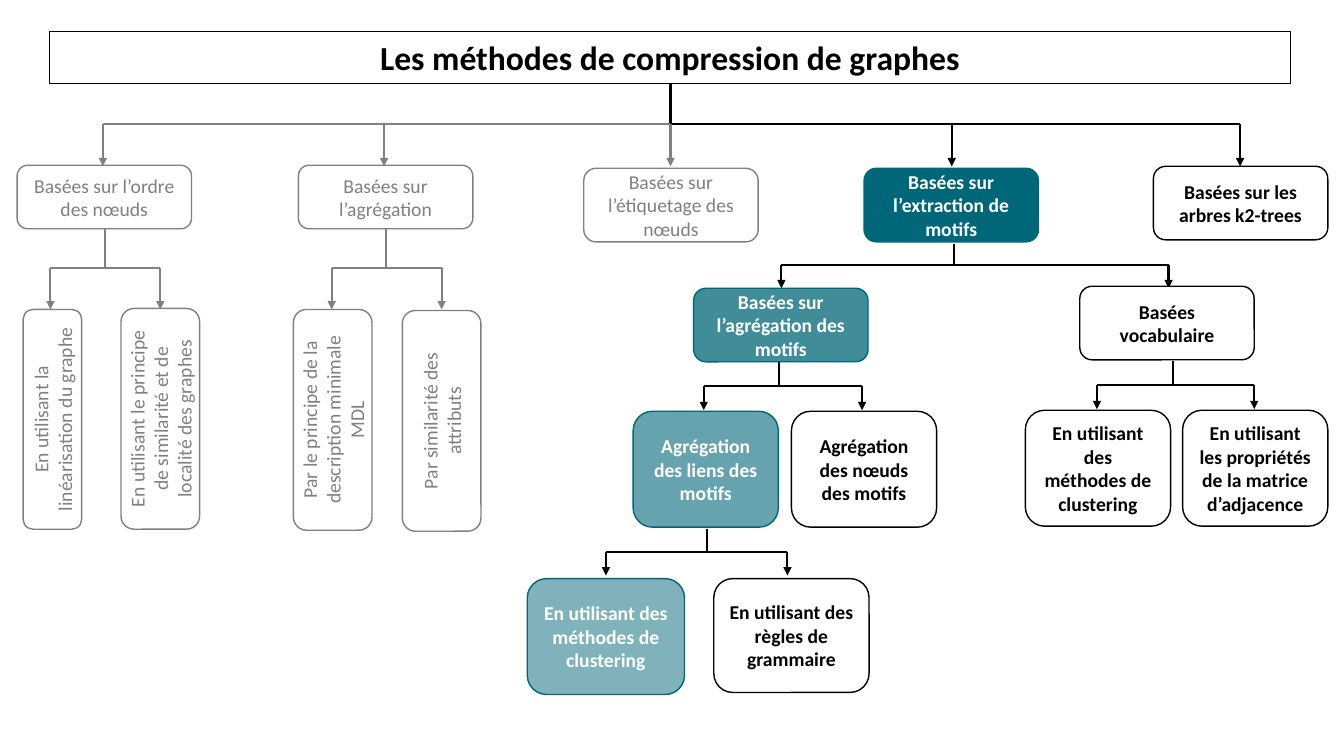
from dataclasses import dataclass

from lxml.etree import SubElement
from pptx import Presentation
from pptx.dml.color import RGBColor
from pptx.enum.shapes import MSO_CONNECTOR, MSO_SHAPE
from pptx.enum.text import MSO_ANCHOR, MSO_AUTO_SIZE, PP_ALIGN
from pptx.oxml import parse_xml
from pptx.oxml.ns import nsdecls, qn
from pptx.util import Inches, Pt


@dataclass(frozen=True)
class Theme:
    font: str = "Calibri"
    white: str = "FFFFFF"
    black: str = "000000"
    grey: str = "808080"
    teal: str = "006778"
    title_size: int = 24
    box_size: int = 14
    outline: float = 1
    branch: float = 1.5


@dataclass(frozen=True)
class Style:
    fill: str
    line: str
    text: str
    bold: bool = True
    opacity: int = 100
    vertical: bool = False


THEME = Theme()


def teal_style(opacity):
    return Style(THEME.teal, THEME.teal, THEME.white, opacity=opacity)


PLAIN = Style(THEME.white, THEME.black, THEME.black)
MUTED = Style(THEME.white, THEME.grey, THEME.grey, bold=False)
MUTED_VERTICAL = Style(THEME.white, THEME.grey, THEME.grey, bold=False, vertical=True)

TITLE = "Les méthodes de compression de graphes"
TITLE_PLACE = (0.49, 0.31, 12.31, 0.52)

# text, (left, top, width, height), style
BOXES = [
    ("Basées sur l’ordre des nœuds", (0.17, 1.64, 1.73, 0.63), MUTED),
    ("Basées sur l’agrégation", (2.96, 1.64, 1.73, 0.63), MUTED),
    ("Basées sur l’étiquetage des nœuds", (5.79, 1.67, 1.73, 0.73), MUTED),
    ("Basées sur l’extraction de motifs", (8.57, 1.67, 1.73, 0.73), teal_style(100)),
    ("Basées sur les arbres k2-trees", (11.44, 1.65, 1.73, 0.73), PLAIN),
    ("En utilisant la linéarisation du graphe", (0.23, 3.07, 0.58, 2.18), MUTED_VERTICAL),
    ("En utilisant le principe de similarité et de localité des graphes",
     (1.2, 3.06, 0.78, 2.19), MUTED_VERTICAL),
    ("Par le principe de la description minimale MDL",
     (2.91, 3.07, 0.78, 2.19), MUTED_VERTICAL),
    ("Par similarité des attributs", (3.99, 3.08, 0.78, 2.19), MUTED_VERTICAL),
    ("Basées sur l’agrégation des motifs", (6.88, 2.86, 1.73, 0.73), teal_style(75)),
    ("Basées vocabulaire", (10.71, 2.84, 1.73, 0.73), PLAIN),
    ("Agrégation des liens des motifs", (6.28, 4.08, 1.44, 1.15), teal_style(60)),
    ("Agrégation des nœuds des motifs", (7.85, 4.08, 1.44, 1.15), PLAIN),
    ("En utilisant des méthodes de clustering", (10.17, 4.07, 1.44, 1.15), PLAIN),
    ("En utilisant les propriétés de la matrice d’adjacence",
     (11.73, 4.07, 1.44, 1.15), PLAIN),
    ("En utilisant des méthodes de clustering", (5.23, 5.74, 1.56, 1.15), teal_style(50)),
    ("En utilisant des règles de grammaire", (7.08, 5.74, 1.54, 1.13), PLAIN),
]

# colour, stem x, stem top, bar y, arrow xs, arrow tip y
BRANCHES = [
    (THEME.black, 6.65, 0.83, 1.23, (9.44, 12.3), 1.65),
    (THEME.grey, 6.65, 1.23, 1.23, (1.02, 3.81, 6.65), 1.65),
    (THEME.grey, 1.04, 2.27, 2.66, (0.5, 1.59), 3.07),
    (THEME.grey, 3.83, 2.27, 2.66, (3.29, 4.38), 3.07),
    (THEME.black, 9.46, 2.42, 2.63, (7.75, 11.59), 2.86),
    (THEME.black, 7.73, 3.59, 3.83, (6.98, 8.55), 4.07),
    (THEME.black, 11.63, 3.58, 3.82, (10.88, 12.44), 4.06),
    (THEME.black, 7.01, 5.25, 5.48, (6.01, 7.81), 5.71),
]


def colour(code):
    return RGBColor.from_string(code)


def style_box(box, text, style, size):
    box.fill.solid()
    box.fill.fore_color.rgb = colour(style.fill)
    if style.opacity < 100:
        fill_colour = box.element.spPr.find(qn("a:solidFill"))[0]
        SubElement(fill_colour, qn("a:alpha"), val=str(style.opacity * 1000))
    box.line.color.rgb = colour(style.line)
    box.line.width = Pt(THEME.outline)

    frame = box.text_frame
    frame.text = text
    frame.word_wrap = True
    frame.auto_size = MSO_AUTO_SIZE.NONE
    frame.vertical_anchor = MSO_ANCHOR.MIDDLE
    if style.vertical:
        frame._txBody.bodyPr.set("vert", "vert270")
    para = frame.paragraphs[0]
    para.alignment = PP_ALIGN.CENTER
    font = para.runs[0].font
    font.name = THEME.font
    font.size = Pt(size)
    font.bold = style.bold
    font.color.rgb = colour(style.text)


def add_title(page):
    """Turn the title placeholder into the rounded root box."""
    title = page.shapes.title
    title.left, title.top, title.width, title.height = map(Inches, TITLE_PLACE)
    title.element.spPr.append(parse_xml(
        f'<a:prstGeom {nsdecls("a")} prst="roundRect"><a:avLst/></a:prstGeom>'))
    style_box(title, TITLE, PLAIN, THEME.title_size)


def add_box(page, text, place, style):
    box = page.shapes.add_shape(MSO_SHAPE.ROUNDED_RECTANGLE, *map(Inches, place))
    box.shadow.inherit = False
    style_box(box, text, style, THEME.box_size)


def add_line(page, start, end, code, arrow=False):
    line = page.shapes.add_connector(
        MSO_CONNECTOR.STRAIGHT, *map(Inches, (*start, *end)))
    line.line.color.rgb = colour(code)
    line.line.width = Pt(THEME.branch)
    if arrow:
        SubElement(line.line._get_or_add_ln(), qn("a:tailEnd"), type="triangle")
    SubElement(line.element.spPr, qn("a:effectLst"))


def add_branch(page, code, stem_x, top, bar_y, arrow_xs, tip_y):
    """Draw a stem, the bar below it and one arrow down to each child."""
    if top < bar_y:
        add_line(page, (stem_x, top), (stem_x, bar_y), code)
    ends = (stem_x, *arrow_xs)
    add_line(page, (min(ends), bar_y), (max(ends), bar_y), code)
    for x in arrow_xs:
        add_line(page, (x, bar_y), (x, tip_y), code, arrow=True)


def main():
    deck = Presentation()
    deck.slide_width, deck.slide_height = Inches(13.33), Inches(7.5)
    page = deck.slides.add_slide(deck.slide_layouts[5])
    add_title(page)
    for branch in BRANCHES:
        add_branch(page, *branch)
    for box in BOXES:
        add_box(page, *box)
    deck.save("out.pptx")


if __name__ == "__main__":
    main()
